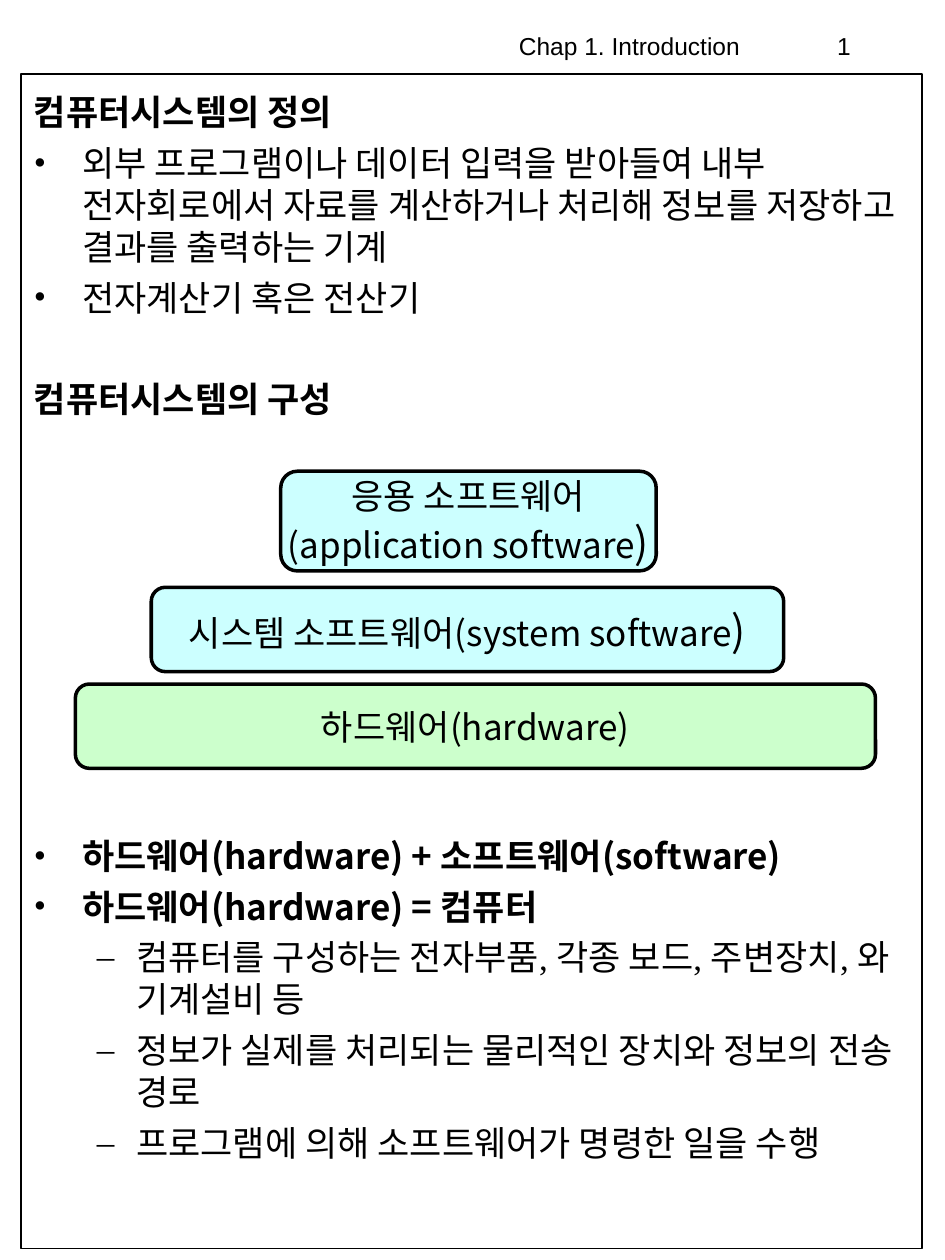
import lxml.etree
import pptx
import pptx.dml.color
import pptx.enum.shapes
import pptx.enum.text
import pptx.oxml.ns
import pptx.util
from pptx.util import Cm, Pt

KOREAN = "Noto Sans CJK KR"
ALIGN = pptx.enum.text.PP_ALIGN
SHAPES = pptx.enum.shapes.MSO_SHAPE

HEADING, BULLET, DASH = range(3)
BODY = [
    (HEADING, "컴퓨터시스템의 정의", "Arial", True, 5),
    (BULLET, "외부 프로그램이나 데이터 입력을 받아들여 내부 전자회로에서 자료를 계산하거나 "
             "처리해 정보를 저장하고 결과를 출력하는 기계", "Times New Roman", False, 5),
    (BULLET, "전자계산기 혹은 전산기", "Times New Roman", False, 5),
    (HEADING, "컴퓨터시스템의 구성", "Arial", True, 34),
    (BULLET, "하드웨어(hardware) + 소프트웨어(software)", KOREAN, True, 237),
    (BULLET, "하드웨어(hardware) = 컴퓨터", KOREAN, True, 5),
    (DASH, "컴퓨터를 구성하는 전자부품, 각종 보드, 주변장치, 와 기계설비 등",
     "Times New Roman", False, 5),
    (DASH, "정보가 실제를 처리되는 물리적인 장치와 정보의 전송 경로",
     "Times New Roman", False, 5),
    (DASH, "프로그램에 의해 소프트웨어가 명령한 일을 수행", "Times New Roman", False, 5),
]
INDENTS = {HEADING: (0.97, -0.97), BULLET: (0.97, -0.97), DASH: (2.06, -0.79)}
MARKS = {BULLET: "•", DASH: "–"}

LAYERS = [
    (0, 4.29, 16.13, 1.7, "CCFFCC", ["하드웨어(hardware)"], ""),
    (1.53, 2.34, 12.75, 1.7, "CCFFFF", ["시스템 소프트웨어(system software"], ")"),
    (4.14, 0, 7.57, 2.01, "CCFFFF", ["응용 소프트웨어", "(application software"], ")"),
]


def color(value):
    return pptx.dml.color.RGBColor.from_string(value)


def add_run(paragraph, text, size, font, bold=False):
    run = paragraph.add_run()
    run.text = text
    run.font.size = Pt(size)
    run.font.name = font
    run.font.bold = bold
    run.font.color.rgb = color("000000")
    properties = run.font.fill._xPr
    east_asian = lxml.etree.SubElement(properties, pptx.oxml.ns.qn("a:ea"))
    east_asian.set("typeface", KOREAN)


def set_bullet(paragraph, mark):
    properties = paragraph._p.get_or_add_pPr()
    qn = pptx.oxml.ns.qn
    if mark is None:
        lxml.etree.SubElement(properties, qn("a:buNone"))
        return
    bullet_color = lxml.etree.SubElement(properties, qn("a:buClr"))
    lxml.etree.SubElement(bullet_color, qn("a:srgbClr")).set("val", "000000")
    lxml.etree.SubElement(properties, qn("a:buFont")).set("typeface", "Times New Roman")
    lxml.etree.SubElement(properties, qn("a:buChar")).set("char", mark)


def add_header(slide, left, top, width, height, text, alignment):
    box = slide.shapes.add_textbox(Cm(left), Cm(top), Cm(width), Cm(height))
    frame = box.text_frame
    frame.word_wrap = False
    frame.vertical_anchor = pptx.enum.text.MSO_ANCHOR.MIDDLE
    paragraph = frame.paragraphs[0]
    paragraph.alignment = alignment
    add_run(paragraph, text, 14, "Arial")


def add_page_frame(slide, left, top, width, height):
    shape = slide.shapes.add_shape(
        SHAPES.RECTANGLE, Cm(left), Cm(top), Cm(width), Cm(height))
    shape.shadow.inherit = False
    shape.fill.background()
    shape.line.color.rgb = color("000000")
    shape.line.width = Pt(1)


def fill_body(body, left, top, width, height):
    body.left, body.top, body.width, body.height = map(Cm, (left, top, width, height))
    frame = body.text_frame
    frame.word_wrap = True
    frame.auto_size = pptx.enum.text.MSO_AUTO_SIZE.NONE
    frame.vertical_anchor = pptx.enum.text.MSO_ANCHOR.TOP
    for index, (kind, text, font, bold, space) in enumerate(BODY):
        paragraph = frame.add_paragraph() if index else frame.paragraphs[0]
        paragraph.level = 1 if kind == DASH else 0
        paragraph.alignment = ALIGN.LEFT
        paragraph.line_spacing = Pt(24)
        paragraph.space_before = Pt(space)
        margin, indent = INDENTS[kind]
        properties = paragraph._p.get_or_add_pPr()
        properties.set("marL", str(Cm(margin)))
        properties.set("indent", str(Cm(indent)))
        set_bullet(paragraph, MARKS.get(kind))
        add_run(paragraph, text, 20, font, bold)


def add_layers(slide, left, top):
    group = slide.shapes.add_group_shape()
    for x, y, width, height, fill, lines, ending in LAYERS:
        shape = group.shapes.add_shape(
            SHAPES.ROUNDED_RECTANGLE, Cm(left + x), Cm(top + y), Cm(width), Cm(height))
        shape.shadow.inherit = False
        shape.fill.solid()
        shape.fill.fore_color.rgb = color(fill)
        shape.line.color.rgb = color("000000")
        shape.line.width = Pt(2)
        frame = shape.text_frame
        frame.word_wrap = False
        frame.vertical_anchor = pptx.enum.text.MSO_ANCHOR.MIDDLE
        paragraph = frame.paragraphs[0]
        paragraph.alignment = ALIGN.CENTER
        for index, line in enumerate(lines):
            if index:
                paragraph.add_line_break()
            add_run(paragraph, line, 20, KOREAN)
        if ending:
            add_run(paragraph, ending, 24, KOREAN)


def main():
    presentation = pptx.Presentation()
    presentation.slide_width, presentation.slide_height = Cm(19.05), Cm(25.4)
    slide = presentation.slides.add_slide(presentation.slide_layouts[1])
    title = slide.shapes.title.element
    title.getparent().remove(title)
    add_page_frame(slide, 0.43, 1.5, 18.16, 23.67)
    add_header(slide, 9.68, 0.08, 6.02, 1.7, "Chap 1. Introduction", ALIGN.CENTER)
    add_header(slide, 13.44, 0.08, 3.96, 1.7, "1", ALIGN.RIGHT)
    fill_body(slide.placeholders[1], 0.43, 1.7, 17.98, 23.39)
    add_layers(slide, 1.52, 9.5)
    presentation.save("out.pptx")


if __name__ == "__main__":
    main()
